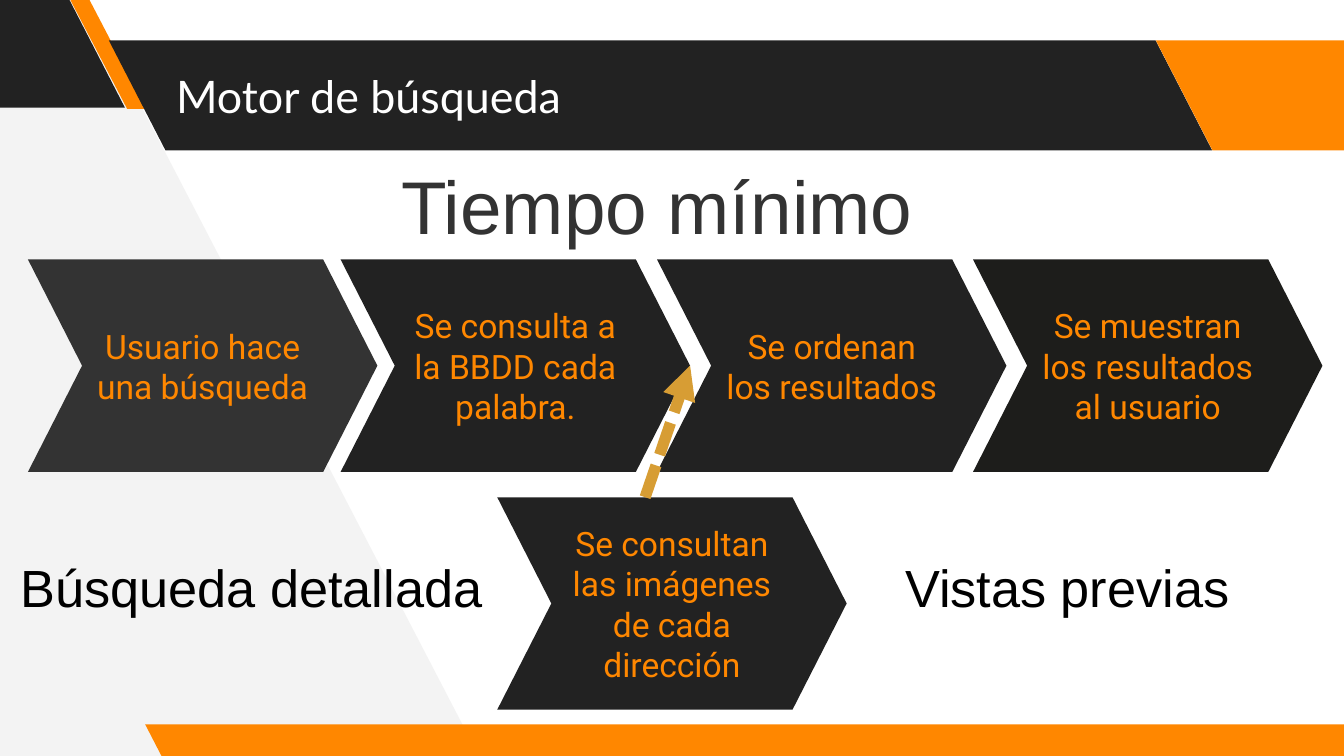
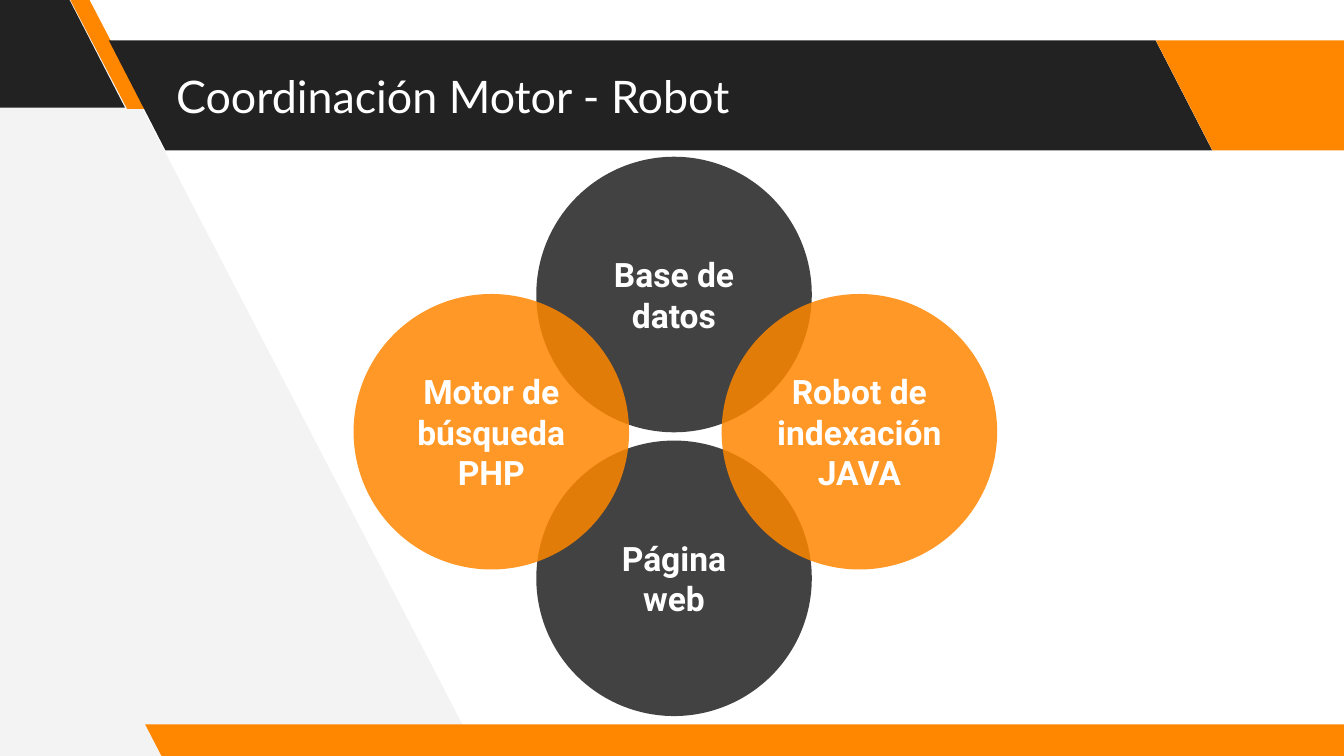
from lxml import etree
from pptx import Presentation
from pptx.dml.color import RGBColor
from pptx.enum import dml, shapes, text as t
from pptx.oxml import ns
from pptx.util import Pt

CHARCOAL = RGBColor(0x22, 0x22, 0x22)
SLATE = RGBColor(0x33, 0x33, 0x33)
INK = RGBColor(0x1D, 0x1D, 0x1B)
ORANGE = RGBColor(0xFF, 0x87, 0x00)
GOLD = RGBColor(0xD7, 0x9D, 0x34)
PALE = RGBColor(0xF3, 0xF3, 0xF3)
WHITE = RGBColor(0xFF, 0xFF, 0xFF)
BLACK = RGBColor(0, 0, 0)

TITLE_BOX = (87.1, 21.6, 529.2, 59)
STEP_SIZE = (187.2, 113.8)
CIRCLE = 147.6
SLANT = 0.515


def points(*values):
    return [Pt(value) for value in values]


def write(shape, text, *, font, size, color, bold=False,
          align=t.PP_ALIGN.CENTER, anchor=t.MSO_ANCHOR.MIDDLE, inset=7.2):
    """Fill a shape with text, one paragraph for each line."""
    frame = shape.text_frame
    frame.text = text
    frame.word_wrap = True
    frame.auto_size = t.MSO_AUTO_SIZE.NONE
    frame.vertical_anchor = anchor
    frame.margin_left = frame.margin_right = Pt(7.2)
    frame.margin_top = frame.margin_bottom = Pt(inset)
    for paragraph in frame.paragraphs:
        paragraph.alignment = align
        paragraph.font.name = font
        paragraph.font.size = Pt(size)
        paragraph.font.bold = bold
        paragraph.font.color.rgb = color


def paint(shape, color, opacity=100):
    shape.shadow.inherit = False
    shape.line.fill.background()
    shape.fill.solid()
    shape.fill.fore_color.rgb = color
    if opacity < 100:
        rgb = shape.element.spPr.find(".//" + ns.qn("a:srgbClr"))
        etree.SubElement(rgb, ns.qn("a:alpha"), val=str(opacity * 1000))


def add_preset(slide, preset, box, color, adjustment=None, opacity=100):
    shape = slide.shapes.add_shape(preset, *points(*box))
    if adjustment is not None:
        shape.adjustments[0] = adjustment
    paint(shape, color, opacity)
    return shape


def add_band(slide, box, color, slant=SLANT):
    band = add_preset(slide, shapes.MSO_SHAPE.PARALLELOGRAM, box, color, slant)
    band.element.spPr.xfrm.set("flipH", "1")
    return band


def decorate_layout(layout, slide):
    """Draw the shared bands on a slide, then hand them to its layout."""
    for placeholder in list(layout.placeholders):
        if placeholder.placeholder_format.type != shapes.PP_PLACEHOLDER.TITLE:
            placeholder.element.getparent().remove(placeholder.element)

    outline = slide.shapes.build_freeform(*points(256.3, 404.6), scale=1.0)
    outline.add_line_segments(
        [points(44.6, -2.9), points(-4.3, -2.9), points(-1.4, 407.5)], close=True)
    side_panel = outline.convert_to_shape()
    paint(side_panel, PALE)
    decoration = [
        side_panel,
        add_band(slide, (-71.3, -1.4, 138.2, 59), CHARCOAL),
        add_band(slide, (37.4, -0.7, 41, 59), ORANGE, 0.75),
        add_band(slide, (58.3, 21.6, 591.1, 59), CHARCOAL),
        add_band(slide, (619.2, 21.6, 138.2, 59), ORANGE),
        add_band(slide, (77.8, 388.1, 658.8, 18), ORANGE),
    ]
    for position, shape in enumerate(decoration, start=2):
        layout.shapes.element.insert(position, shape.element)


def set_title(slide, text):
    title = slide.shapes.title
    title.left, title.top, title.width, title.height = points(*TITLE_BOX)
    write(title, text, font="Lato", size=24, color=WHITE, align=t.PP_ALIGN.LEFT)


def add_label(slide, box, text, size, color):
    label = slide.shapes.add_textbox(*points(*box))
    write(label, text, font="Arial", size=size, color=color,
          anchor=t.MSO_ANCHOR.TOP, inset=3.6)


def add_step(slide, left, top, text, color):
    step = add_preset(slide, shapes.MSO_SHAPE.CHEVRON, (left, top, *STEP_SIZE),
                      color, 0.255)
    write(step, text, font="Roboto", size=18, color=ORANGE)


def add_dashed_arrow(slide, start, end):
    arrow = slide.shapes.add_connector(
        shapes.MSO_CONNECTOR.STRAIGHT, *points(*start, *end))
    arrow.line.color.rgb = GOLD
    arrow.line.width = Pt(6)
    arrow.line.dash_style = dml.MSO_LINE.SQUARE_DOT
    etree.SubElement(arrow.line._get_or_add_ln(), ns.qn("a:tailEnd"), type="triangle")
    etree.SubElement(arrow.element.spPr, ns.qn("a:effectLst"))


def add_search_flow(slide, left, top):
    """Place the four steps in a row, with the image lookup feeding in below."""
    steps = [
        (0, "Usuario hace una búsqueda", SLATE),
        (167.5, "Se consulta a la BBDD cada palabra.", CHARCOAL),
        (337, "Se ordenan los resultados", CHARCOAL),
        (506.3, "Se muestran los resultados al usuario", INK),
    ]
    for offset, text, color in steps:
        add_step(slide, left + offset, top, text, color)
    lookup_left, lookup_top = left + 251.4, top + 127.4
    add_step(slide, lookup_left, lookup_top,
             "Se consultan las imágenes de cada dirección", CHARCOAL)
    width, height = STEP_SIZE
    add_dashed_arrow(slide, (lookup_left + 79.2, lookup_top),
                     (left + 167.5 + width, top + height / 2))


def add_circle_cluster(slide, left, top):
    circles = [
        (97.9, 0, "Base de\vdatos", CHARCOAL),
        (97.9, 152, "Página\vweb", CHARCOAL),
        (197.2, 73.5, "Robot de indexación\nJAVA", ORANGE),
        (0, 73.5, "Motor de búsqueda\nPHP", ORANGE),
    ]
    for across, down, text, color in circles:
        circle = add_preset(slide, shapes.MSO_SHAPE.OVAL,
                            (left + across, top + down, CIRCLE, CIRCLE),
                            color, opacity=85)
        write(circle, text.replace("\v", " "), font="Roboto", size=18,
              color=WHITE, bold=True)


def build_search_slide(slide):
    set_title(slide, "Motor de búsqueda")
    add_label(slide, (0, 293.8, 269.3, 41), "Búsqueda detallada", 28, BLACK)
    add_label(slide, (473.8, 293.8, 195.8, 41), "Vistas previas", 28, BLACK)
    add_label(slide, (146.2, 82.1, 411.1, 55.4), "Tiempo mínimo", 40, SLATE)
    add_search_flow(slide, 15, 139)


def build_coordination_slide(slide):
    set_title(slide, "Coordinación Motor - Robot")
    add_circle_cluster(slide, 189.4, 84)


def main():
    presentation = Presentation()
    presentation.slide_width, presentation.slide_height = points(720, 405)
    layout = presentation.slide_layouts[5]
    search, coordination = [presentation.slides.add_slide(layout) for _ in range(2)]
    decorate_layout(layout, search)
    build_search_slide(search)
    build_coordination_slide(coordination)
    presentation.save("out.pptx")


if __name__ == "__main__":
    main()
